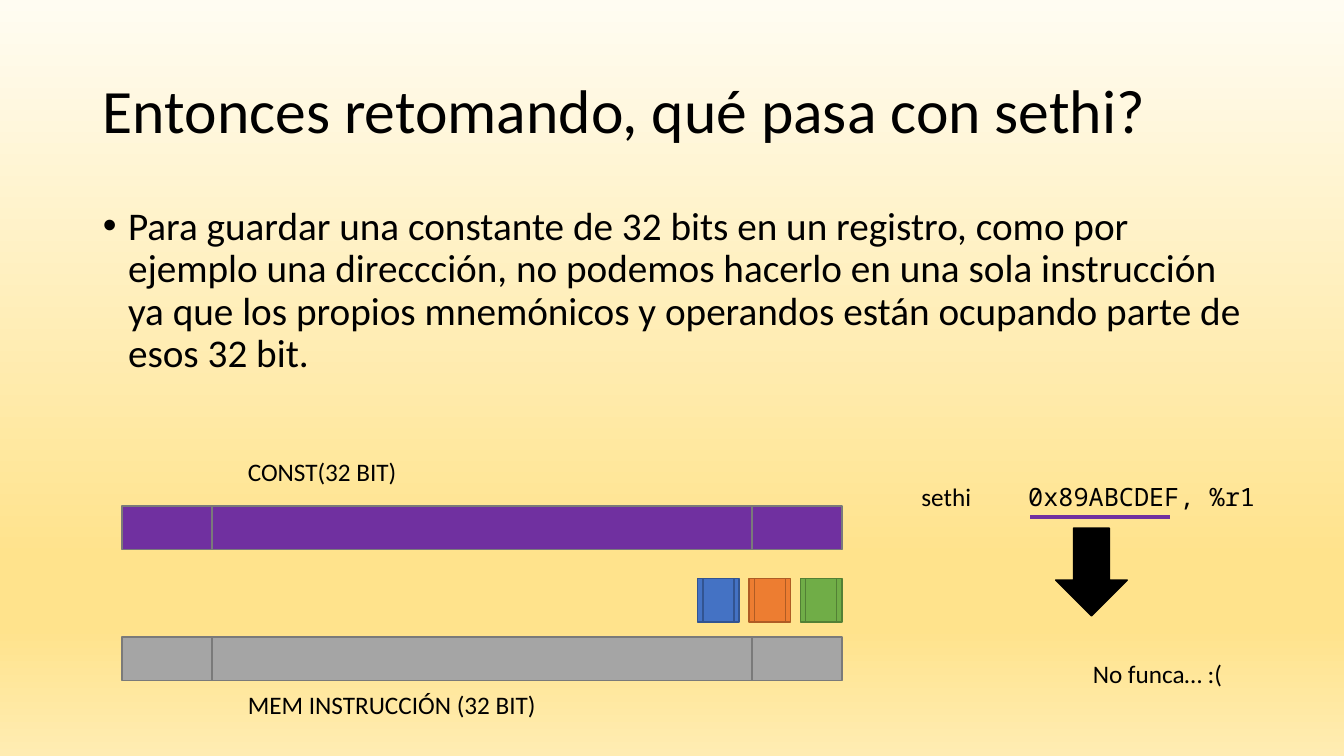
from dataclasses import dataclass

from lxml import etree
from pptx import Presentation
from pptx.dml.color import RGBColor
from pptx.enum import shapes, text
from pptx.oxml.ns import qn
from pptx.util import Inches, Pt

TITLE = "Entonces retomando, qué pasa con sethi?"
EXPLANATION = (
    "Para guardar una constante de 32 bits en un registro, como por ejemplo una "
    "direccción, no podemos hacerlo en una sola instrucción ya que los propios "
    "mnemónicos y operandos están ocupando parte de esos 32 bit."
)
MNEMONIC, OPERANDS = "sethi", "0x89ABCDEF, %r1"
VERDICT = "No funca… :("
# label, label top, bar top, fill
WORDS = [
    ("CONST(32 BIT)", 4.48, 5.02, "7030A0"),
    ("MEM INSTRUCCIÓN (32 BIT)", 6.79, 6.32, "A5A5A5"),
]
# fill, outline, from left to right
FIELDS = [("4472C4", "325491"), ("ED7D31", "AF5C24"), ("70AD47", "538035")]


@dataclass(frozen=True)
class Theme:
    font: str = "Calibri"
    code_font: str = "Noto Sans Mono"
    ink: str = "000000"
    bar_line: str = "7A7A7A"
    accent: str = "7030A0"
    title: int = 44
    body: int = 28
    label: int = 18
    background: tuple = ((0, "FFFCF2"), (74, "FFE38C"), (83, "FFE38C"), (100, "FFECB2"))


THEME = Theme()
BAR_LEFT, BAR_WIDTH, BAR_HEIGHT = 1.21, 7.14, 0.43
FIELD_TOP, FIELD_WIDTH, FIELD_PITCH = 5.74, 0.41, 0.51
LABEL_LEFT, LABEL_WIDTH, LABEL_HEIGHT = 2.36, 3.57, 0.4
OPERAND_TAB = 1.06


def rgb(value):
    return RGBColor.from_string(value)


def paint_background(slide):
    fill = slide.background.fill
    fill.gradient()
    fill.gradient_angle = 270
    stops = slide.element.find(".//" + qn("a:gsLst"))
    for stop in list(stops):
        stops.remove(stop)
    for percent, color in THEME.background:
        stop = etree.SubElement(stops, qn("a:gs"), pos=str(percent * 1000))
        etree.SubElement(stop, qn("a:srgbClr"), val=color)


def style(paragraph, size):
    paragraph.alignment = text.PP_ALIGN.LEFT
    paragraph.font.name = THEME.font
    paragraph.font.size = Pt(size)
    paragraph.font.color.rgb = rgb(THEME.ink)


def fill_placeholder(placeholder, box, content, size):
    placeholder.left, placeholder.top, placeholder.width, placeholder.height = map(Inches, box)
    frame = placeholder.text_frame
    frame.text = content
    frame.auto_size = text.MSO_AUTO_SIZE.NONE
    paragraph = frame.paragraphs[0]
    paragraph.line_spacing = 0.9
    paragraph.space_before = Pt(0)
    return paragraph, size


def add_bullet(paragraph, indent):
    properties = paragraph._p.get_or_add_pPr()
    properties.set("marL", str(Inches(indent)))
    properties.set("indent", str(-Inches(indent)))
    etree.SubElement(properties, qn("a:buFont"), typeface="Arial")
    etree.SubElement(properties, qn("a:buChar"), char="•")


def add_label(slide, left, top, width, content, wrap=True):
    box = slide.shapes.add_textbox(*map(Inches, (left, top, width, LABEL_HEIGHT)))
    box.text_frame.word_wrap = wrap
    paragraph = box.text_frame.paragraphs[0]
    paragraph.add_run().text = content
    return paragraph


def add_block(slide, kind, box, fill, line):
    block = slide.shapes.add_shape(kind, *map(Inches, box))
    block.shadow.inherit = False
    block.fill.solid()
    block.fill.fore_color.rgb = rgb(fill)
    block.line.color.rgb = rgb(line)
    block.line.width = Pt(1)


def add_word_diagram(slide):
    process = shapes.MSO_SHAPE.FLOWCHART_PREDEFINED_PROCESS
    for label, label_top, bar_top, fill in WORDS:
        style(add_label(slide, LABEL_LEFT, label_top, LABEL_WIDTH, label), THEME.label)
        bar = (BAR_LEFT, bar_top, BAR_WIDTH, BAR_HEIGHT)
        add_block(slide, process, bar, fill, THEME.bar_line)
    first_left = BAR_LEFT + BAR_WIDTH - FIELD_WIDTH - FIELD_PITCH * (len(FIELDS) - 1)
    for index, (fill, line) in enumerate(FIELDS):
        field = (first_left + index * FIELD_PITCH, FIELD_TOP, FIELD_WIDTH, BAR_HEIGHT)
        add_block(slide, process, field, fill, line)


def add_instruction(slide):
    instruction = add_label(slide, 9.04, 4.73, 3.67, MNEMONIC + "\t")
    tabs = etree.SubElement(instruction._p.get_or_add_pPr(), qn("a:tabLst"))
    etree.SubElement(tabs, qn("a:tab"), pos=str(Inches(OPERAND_TAB)), algn="l")
    style(instruction, THEME.label)
    operands = instruction.add_run()
    operands.text = OPERANDS
    operands.font.name = THEME.code_font

    underline = slide.shapes.add_connector(
        shapes.MSO_CONNECTOR.STRAIGHT, *map(Inches, (10.22, 5.13, 11.6, 5.13))
    )
    underline.line.color.rgb = rgb(THEME.accent)
    underline.line.width = Pt(3)
    etree.SubElement(underline._element.spPr, qn("a:effectLst"))

    arrow = (10.47, 5.24, 0.71, 0.87)
    add_block(slide, shapes.MSO_SHAPE.DOWN_ARROW, arrow, THEME.ink, THEME.ink)
    style(add_label(slide, 10.74, 6.48, 1.5, VERDICT, wrap=False), THEME.label)


def main():
    deck = Presentation()
    deck.slide_width, deck.slide_height = Inches(13.33), Inches(7.5)
    slide = deck.slides.add_slide(deck.slide_layouts[1])
    paint_background(slide)
    title, body = slide.placeholders
    style(*fill_placeholder(title, (0.92, 0.4, 11.5, 1.45), TITLE, THEME.title))
    title.text_frame.vertical_anchor = text.MSO_ANCHOR.MIDDLE
    explanation, size = fill_placeholder(body, (0.92, 2, 11.5, 4.76), EXPLANATION, THEME.body)
    add_bullet(explanation, 0.25)
    style(explanation, size)
    add_word_diagram(slide)
    add_instruction(slide)
    deck.save("out.pptx")


if __name__ == "__main__":
    main()
